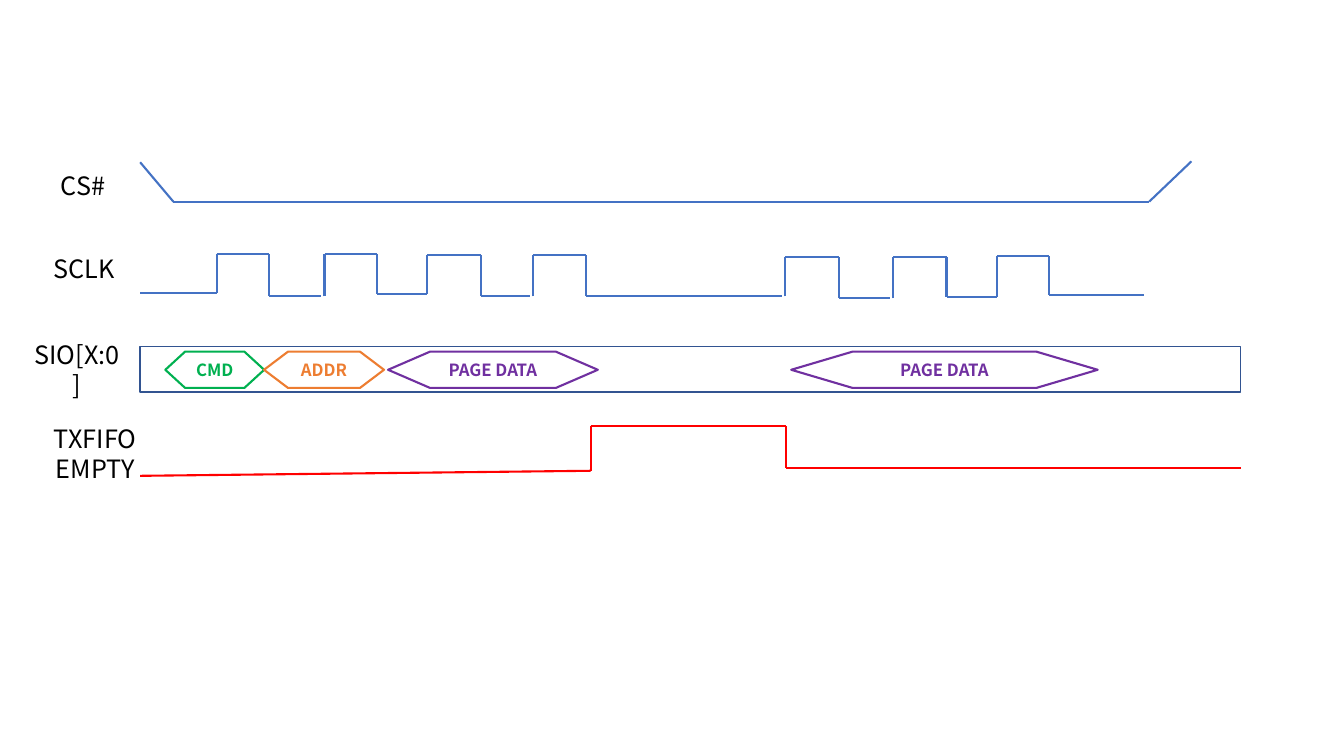
from itertools import pairwise

from lxml import etree
from pptx import Presentation
from pptx.dml.color import RGBColor
from pptx.enum import shapes, text
from pptx.oxml import ns
from pptx.util import Pt

COLOURS = {
    "white": "FFFFFF", "black": "000000", "signal": "4472C4", "frame": "325491",
    "command": "00B050", "address": "ED7D31", "data": "7030A0", "alert": "FF0000",
}
FONT = "Noto Sans CJK SC"
LANE_LEFT = 100.1
LANE_WIDTH = 786.2

# Rise, fall and end of the low level after it; then heights of high and low.
CLOCK_PULSES = [
    (54.7, 92.1, 129, 1.4, 31.7),
    (131.7, 169.2, 205.2, 1.4, 30.2),
    (205.2, 243.3, 278.6, 2.2, 31.7),
    (280.8, 318.2, 458.6, 2.2, 31.7),
    (460.8, 498.9, 535.7, 3.6, 33.1),
    (537.8, 576, 612, 3.6, 32.4),
    (612, 649.4, 717.1, 2.9, 31),
]

# Left offset, width, caption and colour.
BUS_PHASES = [
    (18, 70.6, "CMD", "command"),
    (88.5, 85.7, "ADDR", "address"),
    (177.1, 149.8, "PAGE DATA", "data"),
    (465.1, 218.9, "PAGE DATA", "data"),
]


def colour(name):
    return RGBColor.from_string(COLOURS[name])


def add_block(page, kind, box, fill, outline, width):
    block = page.shapes.add_shape(kind, *map(Pt, box))
    block.shadow.inherit = False
    if fill:
        block.fill.solid()
        block.fill.fore_color.rgb = colour(fill)
    else:
        block.fill.background()
    block.line.color.rgb = colour(outline)
    block.line.width = Pt(width)
    return block


def write(block, lines, ink, **font_format):
    frame = block.text_frame
    frame.word_wrap = True
    frame.vertical_anchor = text.MSO_ANCHOR.MIDDLE
    for index, line in enumerate(lines):
        para = frame.add_paragraph() if index else frame.paragraphs[0]
        para.alignment = text.PP_ALIGN.CENTER
        span = para.add_run()
        span.text = line
        span.font.color.rgb = colour(ink)
        for name, value in {"name": FONT, **font_format}.items():
            setattr(span.font, name, value)


def add_label(page, box, *lines):
    block = add_block(page, shapes.MSO_SHAPE.RECTANGLE, box, "white", "white", 1)
    write(block, lines, "black", size=Pt(18))


def add_trace(page, box, points, ink):
    """Join points, given as offsets from the box corner, with straight lines."""
    left, top = box[:2]
    for (x1, y1), (x2, y2) in pairwise(points):
        ends = (left + x1, top + y1, left + x2, top + y2)
        line = page.shapes.add_connector(shapes.MSO_CONNECTOR.STRAIGHT, *map(Pt, ends))
        line.line.color.rgb = colour(ink)
        line.line.width = Pt(1.5)
        etree.SubElement(line._element.spPr, ns.qn("a:effectLst"))


def add_chip_select(page, box):
    _, top, width, height = box
    add_label(page, (19.4, top + 0.7, 79.9, 32.4), "CS#")
    points = [(0, 0.7), (23.7, height), (width - 30.2, height), (width, 0)]
    add_trace(page, box, points, "signal")


def add_clock(page, box):
    add_label(page, (20.2, box[1] - 4.3, 79.9, 32.4), "SCLK")
    level = 29.5
    add_trace(page, box, [(0, level), (CLOCK_PULSES[0][0], level)], "signal")
    for rise, fall, end, high, low in CLOCK_PULSES:
        points = [(rise, level), (rise, high), (fall, high), (fall, low), (end, low)]
        add_trace(page, box, points, "signal")
        level = low


def add_bus(page, box):
    left, top, _, height = box
    add_block(page, shapes.MSO_SHAPE.RECTANGLE, box, "white", "frame", 1)
    add_label(page, (15.1, top, 79.9, height), "SIO[X:0]")
    for offset, width, caption, ink in BUS_PHASES:
        phase_box = (left + offset, top + 3.5, width, height - 6.5)
        phase = add_block(page, shapes.MSO_SHAPE.FLOWCHART_PREPARATION,
                          phase_box, None, ink, 1.5)
        write(phase, [caption], ink, size=Pt(12), bold=True)


def add_fifo_flag(page, box):
    _, top, width, height = box
    add_label(page, (11.5, top + 2.9, 113, 32.4), "TXFIFO", "EMPTY")
    rise, fall = 321.8, 461.1
    points = [(0, height), (rise, 31.7), (rise, 0), (fall, 0), (fall, 29.5), (width, 29.5)]
    add_trace(page, box, points, "alert")


def main():
    deck = Presentation()
    deck.slide_width, deck.slide_height = Pt(960), Pt(540)
    page = deck.slides.add_slide(deck.slide_layouts[6])
    add_chip_select(page, (LANE_LEFT, 115.2, 751, 28.8))
    add_clock(page, (LANE_LEFT, 180, 717.1, 33.1))
    add_bus(page, (LANE_LEFT, 247.7, LANE_WIDTH, 32.4))
    add_fifo_flag(page, (LANE_LEFT, 304.6, LANE_WIDTH, 35.3))
    deck.save("out.pptx")


if __name__ == "__main__":
    main()
